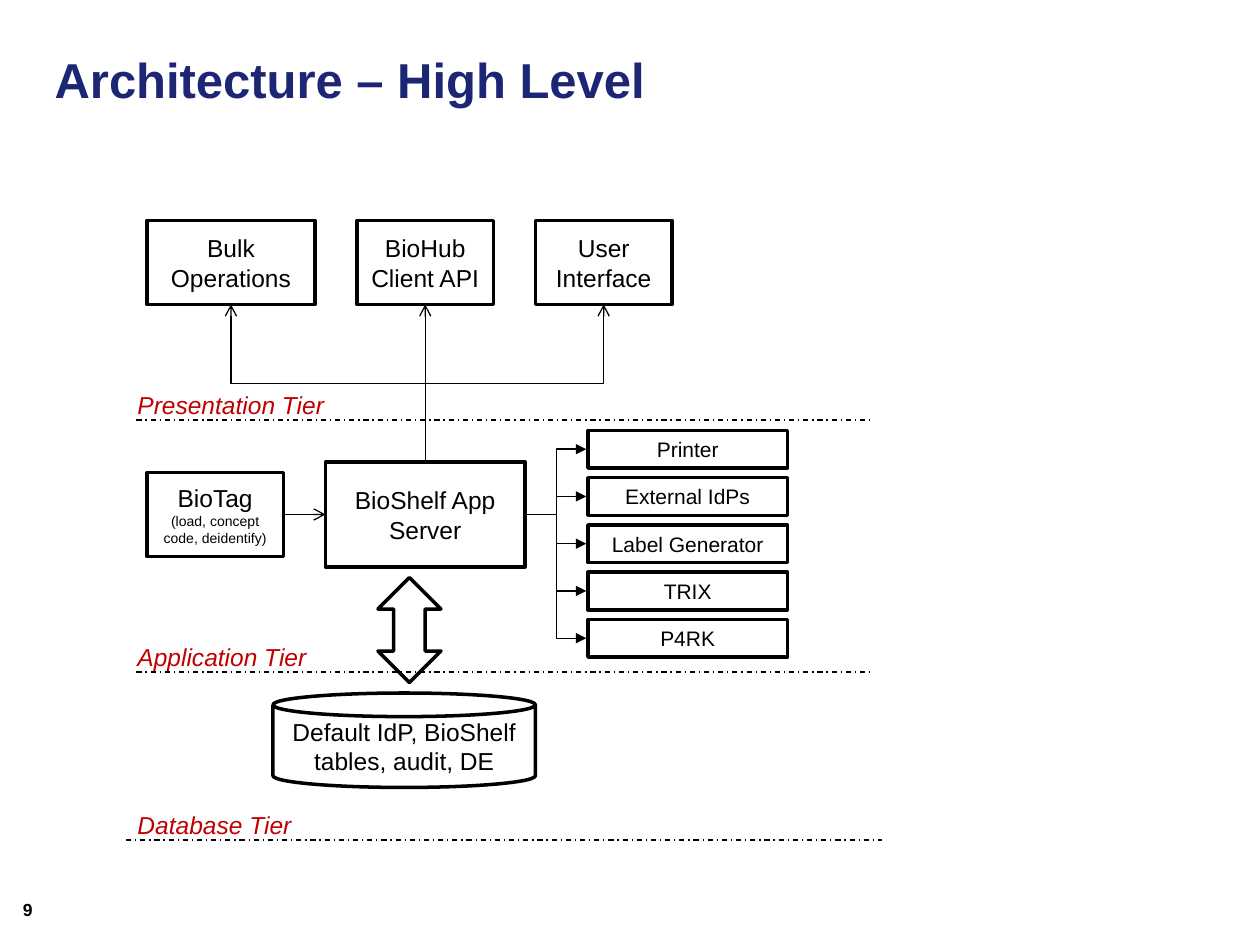
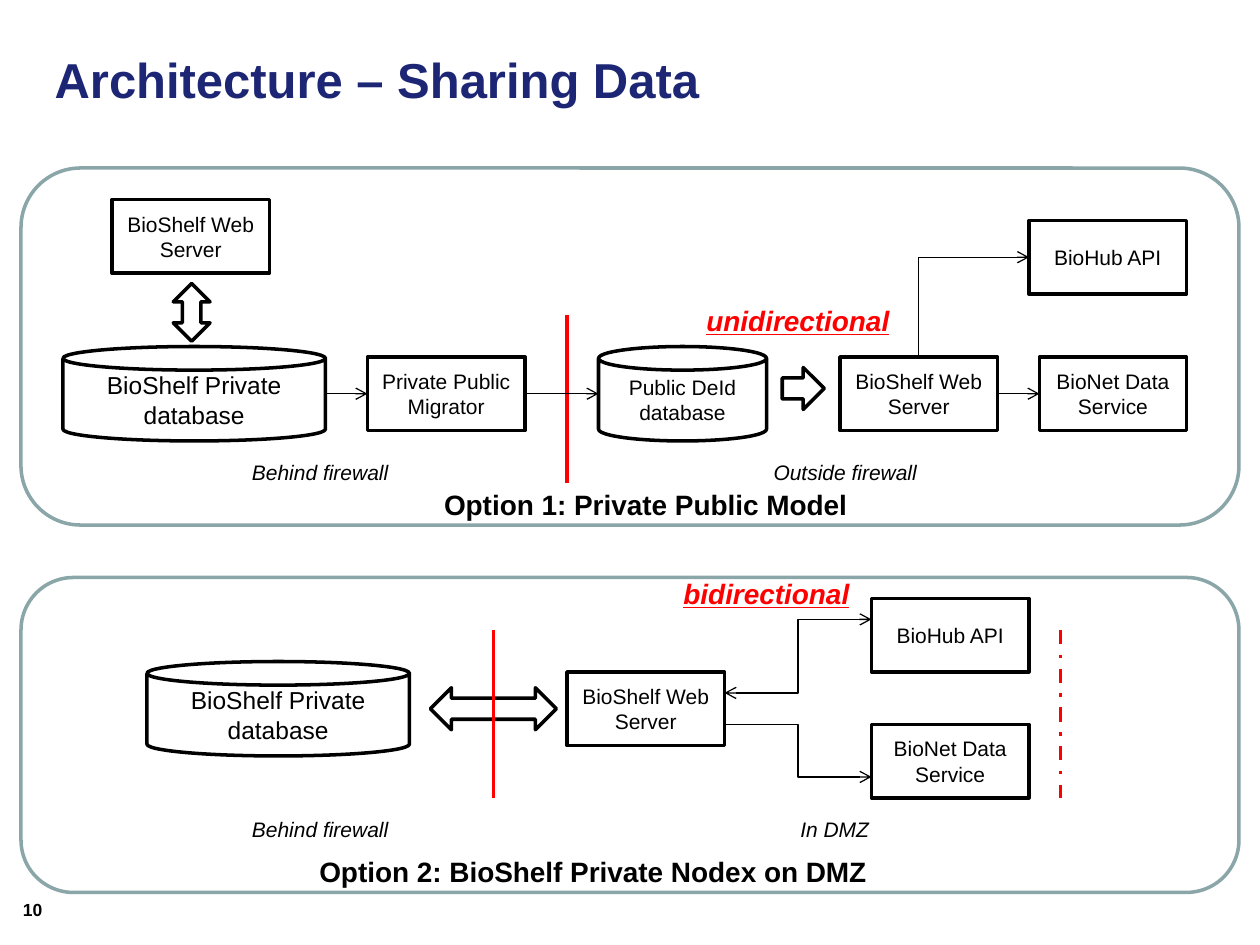
from lxml import etree
from pptx import Presentation
from pptx import util as u
from pptx.dml import color
from pptx.enum import dml, shapes, text
from pptx.oxml import ns

FONT = "Arial"
BLACK, WHITE, NAVY = "000000", "FFFFFF", "1C2674"
CRIMSON, RED, SAGE = "C00000", "FF0000", "8AA6A8"
THICK, THIN = 2, 0.75
SHAPE = shapes.MSO_SHAPE
CENTER, LEFT = text.PP_ALIGN.CENTER, text.PP_ALIGN.LEFT


def rgb(hex_code):
    """Turn a hex string into a colour."""
    return color.RGBColor.from_string(hex_code)


def points(*lengths):
    """Turn numbers of points into lengths."""
    return [u.Pt(length) for length in lengths]


def write(frame, words, size=12, ink=BLACK, bold=False, italic=False,
          underline=False, align=CENTER, anchor=text.MSO_ANCHOR.MIDDLE):
    """Add a formatted paragraph to a text frame."""
    frame.word_wrap = True
    frame.vertical_anchor = anchor
    paragraph = frame.add_paragraph() if frame.text else frame.paragraphs[0]
    paragraph.alignment = align
    run = paragraph.add_run()
    run.text = words
    font = run.font
    font.name, font.size, font.color.rgb = FONT, u.Pt(size), rgb(ink)
    font.bold, font.italic, font.underline = bold, italic, underline


def label(slide, words, left, top, width, height, **style):
    """Place free-standing text."""
    area = slide.shapes.add_textbox(*points(left, top, width, height))
    write(area.text_frame, words, **style)


def outline(slide, kind, left, top, width, height, ink=BLACK, fill=None):
    """Draw a preset shape with a thick outline."""
    figure = slide.shapes.add_shape(kind, *points(left, top, width, height))
    figure.shadow.inherit = False
    figure.line.color.rgb = rgb(ink)
    figure.line.width = u.Pt(THICK)
    if fill:
        figure.fill.solid()
        figure.fill.fore_color.rgb = rgb(fill)
    else:
        figure.fill.background()
    return figure


def component(slide, words, left, top, width=90, height=42, size=12,
              kind=SHAPE.RECTANGLE, detail=None):
    """Draw a named system component, with an optional small detail."""
    frame = outline(slide, kind, left, top, width, height, fill=WHITE).text_frame
    frame.margin_left = frame.margin_right = u.Pt(5)
    write(frame, words, size=size)
    if detail:
        write(frame, detail, size=8)


def database(slide, words, left, top, width=150, size=14):
    """Draw a database cylinder."""
    component(slide, words, left, top, width, 54, size, SHAPE.CAN)


def link(slide, start, end, ink=BLACK, weight=THIN, head=None, tail=None,
         dashed=False, bend=None, upright=False):
    """Connect two points; an upright bend leaves its start vertically."""
    (x1, y1), (x2, y2) = start, end
    if upright:
        mid_x, mid_y = (x1 + x2) / 2, (y1 + y2) / 2
        x1, y1, x2, y2 = (mid_x + y1 - mid_y, mid_y + mid_x - x1,
                          mid_x + y2 - mid_y, mid_y + mid_x - x2)
    route = shapes.MSO_CONNECTOR.ELBOW if bend else shapes.MSO_CONNECTOR.STRAIGHT
    wire = slide.shapes.add_connector(route, *points(x1, y1, x2, y2))
    wire.line.color.rgb = rgb(ink)
    wire.line.width = u.Pt(weight)
    if dashed:
        wire.line.dash_style = dml.MSO_LINE.DASH_DOT
    properties = wire._element.spPr
    if upright:
        properties.find(ns.qn("a:xfrm")).set("rot", "5400000")
    if bend:
        properties.find(ns.qn("a:prstGeom")).set("prst", f"bentConnector{bend}")
    stroke = properties.find(ns.qn("a:ln"))
    for tag, arrow in (("a:headEnd", head), ("a:tailEnd", tail)):
        if arrow:
            etree.SubElement(stroke, ns.qn(tag), type=arrow)
    etree.SubElement(properties, ns.qn("a:effectLst"))


def new_slide(deck, heading, number):
    """Add a slide with its title and page number."""
    slide = deck.slides.add_slide(deck.slide_layouts[5])
    title = slide.shapes.title
    title.left, title.top, title.width, title.height = points(24, 0, 540, 90)
    title.text_frame.auto_size = text.MSO_AUTO_SIZE.NONE
    write(title.text_frame, heading, size=28, ink=NAVY, bold=True, align=LEFT)
    label(slide, str(number), 6, 510, 30, 19.4, size=10, bold=True, align=LEFT,
          anchor=text.MSO_ANCHOR.TOP)
    return slide


def tier(slide, name, left, baseline, width):
    """Close a tier with a dashed line and its name above it."""
    link(slide, (left, baseline), (left + width, baseline), dashed=True)
    label(slide, name, 71.5, baseline - 24, 144, 30, size=14, ink=CRIMSON,
          italic=True, align=LEFT)


def firewall(slide, x, top, dashed=False):
    """Draw a red vertical barrier."""
    link(slide, (x, top), (x, top + 96), ink=RED, weight=THICK, dashed=dashed)


def zone(slide, name, left, top):
    """Name a network zone."""
    label(slide, name, left, top, 270, 24, italic=True)


def direction(slide, word, left, top):
    """Emphasise the direction of data flow."""
    label(slide, word, left, top, 132, 30, size=16, ink=RED, bold=True,
          italic=True, underline=True)


def option(slide, name, top, height, name_left, name_top, name_width):
    """Frame one sharing option and name it."""
    outline(slide, SHAPE.ROUNDED_RECTANGLE, 12, top, 696, height, ink=SAGE)
    label(slide, name, name_left, name_top, name_width, 24, size=16, bold=True)


def high_level(deck):
    """Build the tier overview."""
    slide = new_slide(deck, "Architecture – High Level", 9)
    for name, baseline in (("Presentation Tier", 240), ("Application Tier", 384)):
        tier(slide, name, 78, baseline, 420)
    tier(slide, "Database Tier", 72, 480, 432)

    server_x, server_top, client_bottom = 243, 264, 174
    for name, left, width in (("Bulk Operations", 84, 96),
                              ("BioHub Client API", 204, 78),
                              ("User Interface", 306, 78)):
        component(slide, name, left, 126, width, 48, 14)
        client_x = left + width / 2
        bend = None if client_x == server_x else 3
        link(slide, (server_x, server_top), (client_x, client_bottom),
             tail="arrow", bend=bend, upright=bool(bend))

    component(slide, "BioShelf App Server", 186, server_top, 114, 60, 14)
    component(slide, "BioTag", 84, 270, 78, 48, 14,
              detail="(load, concept code, deidentify)")
    link(slide, (162, 294), (186, 294), tail="arrow")

    services = ("Printer", "External IdPs", "Label Generator", "TRIX", "P4RK")
    for row, name in enumerate(services):
        top = 246 + 27 * row
        component(slide, name, 336, top, 114, 21.5)
        link(slide, (301, 294), (335, top + 10.7), tail="triangle", bend=3)

    outline(slide, SHAPE.UP_DOWN_ARROW, 216, 330, 36, 60)
    database(slide, "Default IdP, BioShelf tables, audit, DE", 156, 396)


def private_public(slide):
    """Draw the option with a public copy of the data."""
    database(slide, "BioShelf Private database", 36, 198)
    database(slide, "Public DeId database", 342, 198, 96, 12)
    firewall(slide, 324, 180)
    component(slide, "BioShelf Web Server", 64, 114)
    component(slide, "Private Public Migrator", 210, 204)
    component(slide, "BioShelf Web Server", 480, 204)
    component(slide, "BioNet Data Service", 594, 204, 84)
    component(slide, "BioHub API", 588, 126)
    for start, end in ((186, 210), (300, 342), (570, 594)):
        link(slide, (start, 225), (end, 225), tail="arrow")
    link(slide, (525, 204), (588, 147), tail="arrow", bend=2, upright=True)
    outline(slide, SHAPE.UP_DOWN_ARROW, 99, 162, 21, 33)
    outline(slide, SHAPE.RIGHT_ARROW, 447, 210, 24, 24)
    zone(slide, "Behind firewall", 48, 258)
    zone(slide, "Outside firewall", 348, 258)
    direction(slide, "unidirectional", 390, 168)
    option(slide, "Option 1: Private Public Model", 96, 204, 234, 276, 270)


def private_on_dmz(slide):
    """Draw the option with the server in the DMZ."""
    database(slide, "BioShelf Private database", 84, 378)
    outline(slide, SHAPE.LEFT_RIGHT_ARROW, 246, 393, 72, 24)
    firewall(slide, 282, 360)
    firewall(slide, 606, 360, dashed=True)
    component(slide, "BioShelf Web Server", 324, 384)
    component(slide, "BioHub API", 498, 342)
    component(slide, "BioNet Data Service", 498, 414)
    link(slide, (414, 396), (498, 354), head="arrow", tail="arrow", bend=3)
    link(slide, (414, 414), (498, 444), tail="arrow", bend=3)
    zone(slide, "Behind firewall", 48, 462)
    zone(slide, "In DMZ", 342, 462)
    direction(slide, "bidirectional", 372, 324)
    option(slide, "Option 2: BioShelf Private Nodex on DMZ", 330, 180, 144, 486, 390)


def main():
    """Build and save both slides."""
    deck = Presentation()
    deck.slide_width, deck.slide_height = points(720, 540)
    high_level(deck)
    sharing = new_slide(deck, "Architecture – Sharing Data", 10)
    private_public(sharing)
    private_on_dmz(sharing)
    deck.save("out.pptx")


if __name__ == "__main__":
    main()
